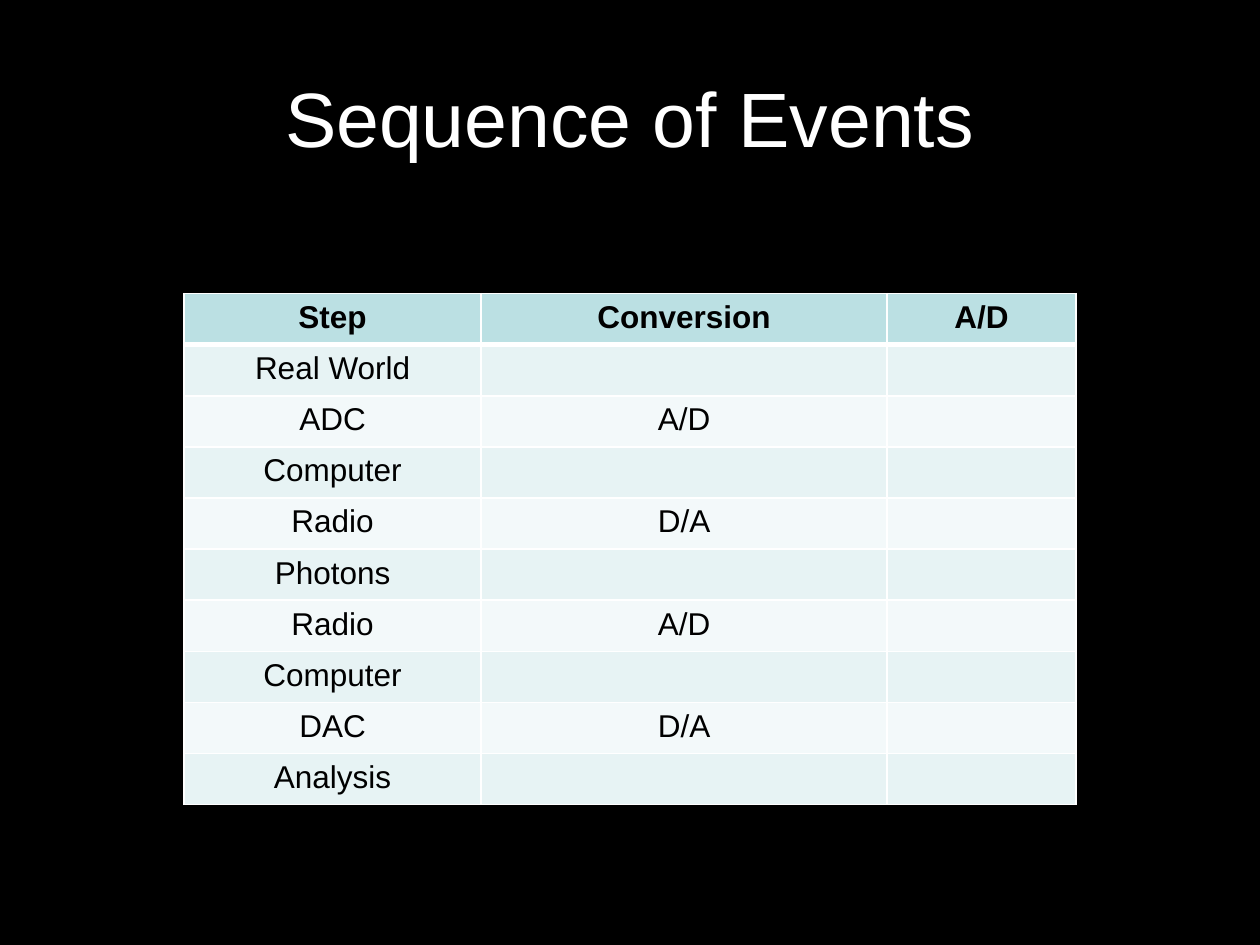
from lxml import etree
from pptx import Presentation
from pptx.dml.color import RGBColor
from pptx.enum.text import MSO_ANCHOR, PP_ALIGN
from pptx.oxml.ns import qn
from pptx.util import Cm, Pt

CENTER = PP_ALIGN.CENTER
MIDDLE = MSO_ANCHOR.MIDDLE

# Content
TITLE = "Sequence of Events"
ROWS = [
    ("Step", "Conversion", "A/D"),
    ("Real World", "", ""),
    ("ADC", "A/D", ""),
    ("Computer", "", ""),
    ("Radio", "D/A", ""),
    ("Photons", "", ""),
    ("Radio", "A/D", ""),
    ("Computer", "", ""),
    ("DAC", "D/A", ""),
    ("Analysis", "", ""),
]

THEME = {
    "background": "000000",
    "header": "BBE0E3",
    "bands": ("F3F9FA", "E7F3F4"),
    "border": "FFFFFF",
    "title": {"name": "Arial", "size": Pt(44), "bold": False, "color": "FFFFFF"},
    "head": {"name": "Arial", "size": Pt(18), "bold": True, "color": "000000"},
    "body": {"name": "Arial", "size": Pt(18), "bold": False, "color": "000000"},
}

# Layout
COLUMN_WIDTHS = (Cm(5.99), Cm(8.18), Cm(3.81))
ROW_HEIGHT = Cm(1.03)
TABLE_LEFT, TABLE_TOP = Cm(3.71), Cm(5.92)
THIN, THICK = Pt(1), Pt(3)


def write(frame, text, style):
    para = frame.paragraphs[0]
    para.alignment = CENTER
    span = para.add_run()
    span.text = text
    for key, value in style.items():
        if key == "color":
            span.font.color.rgb = RGBColor.from_string(value)
        else:
            setattr(span.font, key, value)


def set_borders(cell, widths):
    properties = cell._tc.get_or_add_tcPr()
    for side, width in widths.items():
        line = etree.SubElement(properties, qn(f"a:ln{side}"), w=str(width))
        fill = etree.SubElement(line, qn("a:solidFill"))
        etree.SubElement(fill, qn("a:srgbClr"), val=THEME["border"])


deck = Presentation()
deck.slide_width, deck.slide_height = Cm(25.4), Cm(19.05)
page = deck.slides.add_slide(deck.slide_layouts[6])
page.background.fill.solid()
page.background.fill.fore_color.rgb = RGBColor.from_string(THEME["background"])

# Title
box = page.shapes.add_textbox(Cm(1.27), Cm(0.76), Cm(22.86), Cm(3.18))
box.text_frame.word_wrap = True
box.text_frame.vertical_anchor = MIDDLE
write(box.text_frame, TITLE, THEME["title"])

# Table of steps
table = page.shapes.add_table(
    len(ROWS), len(COLUMN_WIDTHS), TABLE_LEFT, TABLE_TOP,
    sum(COLUMN_WIDTHS), ROW_HEIGHT * len(ROWS),
).table
for column, width in zip(table.columns, COLUMN_WIDTHS):
    column.width = width

for row_index, row in enumerate(ROWS):
    table.rows[row_index].height = ROW_HEIGHT
    is_header = row_index == 0
    color = THEME["header"] if is_header else THEME["bands"][row_index % 2]
    borders = {
        "L": THIN,
        "R": THIN,
        "T": THICK if row_index == 1 else THIN,
        "B": THICK if is_header else THIN,
    }
    for column_index, text in enumerate(row):
        cell = table.cell(row_index, column_index)
        set_borders(cell, borders)
        cell.fill.solid()
        cell.fill.fore_color.rgb = RGBColor.from_string(color)
        if text:
            write(cell.text_frame, text, THEME["head" if is_header else "body"])

deck.save("out.pptx")
